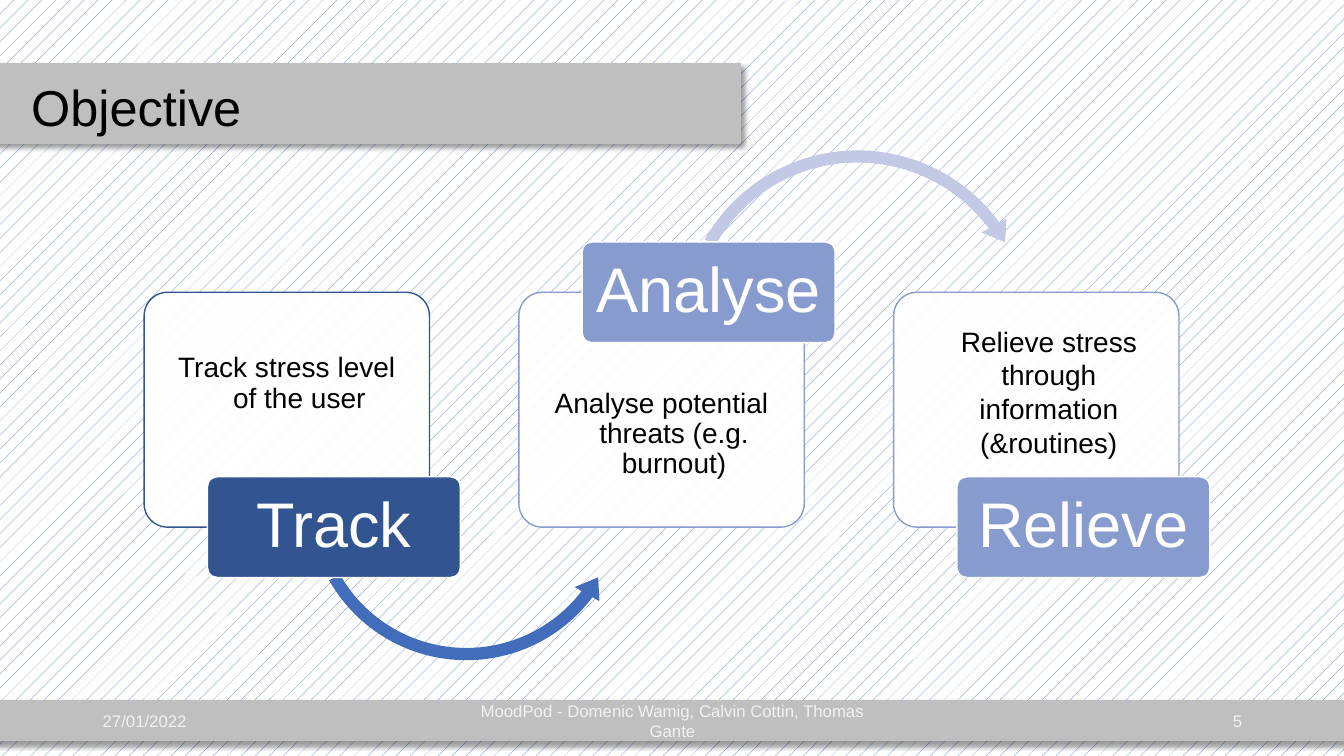
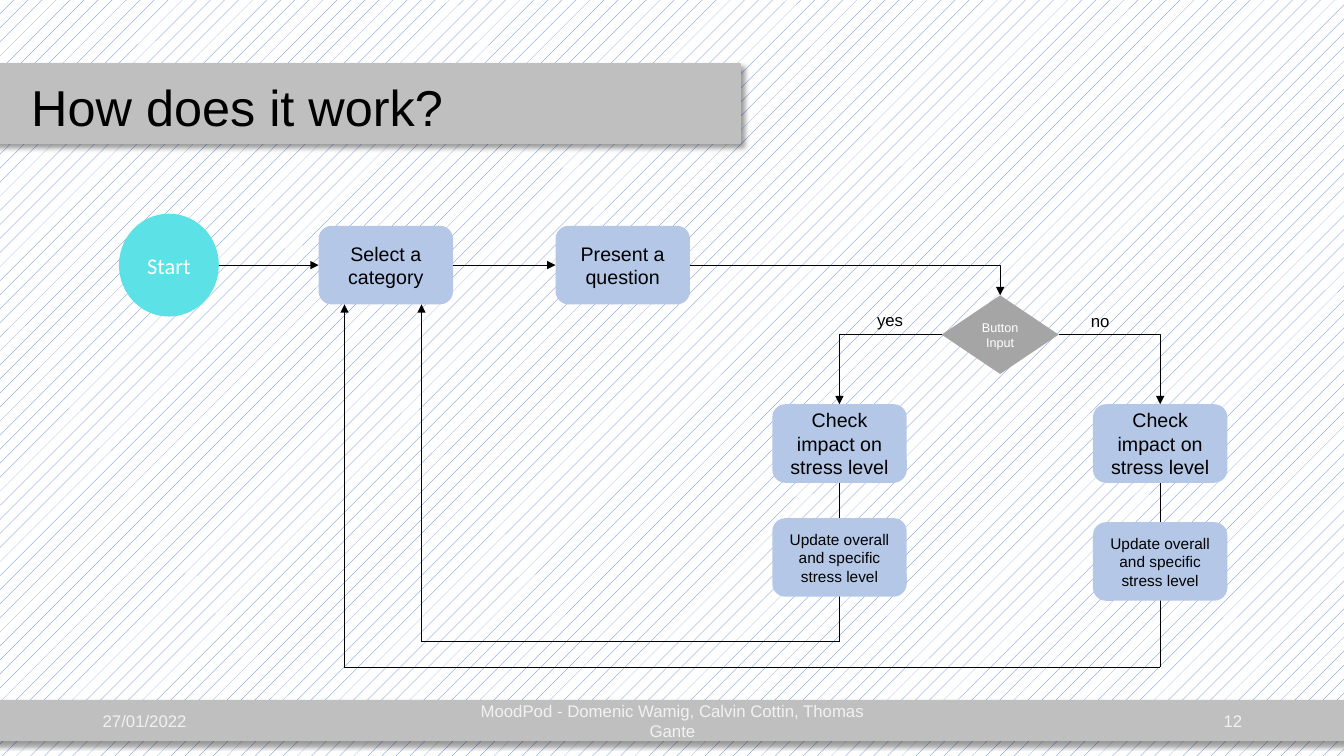
from dataclasses import dataclass

from lxml.etree import SubElement as Sub
from pptx import Presentation
from pptx.dml.color import RGBColor as RGB
from pptx.enum.dml import MSO_PATTERN_TYPE as Pat
from pptx.enum.shapes import MSO_CONNECTOR as Con, MSO_SHAPE as Geo
from pptx.enum.text import MSO_ANCHOR as Mid, MSO_AUTO_SIZE as Fit, PP_ALIGN as Al
from pptx.oxml.ns import qn
from pptx.util import Inches, Pt

TOP, LEFT, BASE, RIGHT = range(4)


@dataclass(frozen=True)
class Theme:
    """Colours, fonts and type sizes of the deck."""
    face: str = "Arial"
    alt: str = "Calibri"
    ink: str = "000000"
    white: str = "FFFFFF"
    hatch: str = "4472C4"
    band: str = "BFBFBF"
    pale: str = "F2F2F2"
    navy: str = "325491"
    lilac: str = "879BCE"
    blue: str = "416DBB"
    mist: str = "C1C9E4"
    sky: str = "B4C7E7"
    cyan: str = "5CE1E6"
    gray: str = "A5A5A5"
    title: int = 36
    label: int = 45
    card: int = 20
    start: int = 16
    node: int = 14
    foot: int = 12
    small: int = 11
    tiny: int = 9


class Deck:
    """Style and current slide, measured on a grid of 40 columns by 22.5 rows."""

    def __init__(self, theme):
        """Set the slide size and the hatched ground."""
        self.th = theme
        self.prs = Presentation()
        self.prs.slide_width, self.prs.slide_height = Inches(13.33), Inches(7.5)
        self.unit = self.prs.slide_height / 22.5
        fill = self.prs.slide_master.background.fill
        fill.patterned()
        fill.pattern = Pat.PERCENT_5
        fill.fore_color.rgb = RGB.from_string(theme.hatch)
        fill.back_color.rgb = RGB.from_string(theme.white)

    def grid(self, *vals):
        """Turn grid steps into lengths."""
        return [round(v * self.unit) for v in vals]

    def page(self, title, num):
        """Start a slide with its title, bands and footer."""
        th = self.th
        self.slide = self.prs.slides.add_slide(self.prs.slide_layouts[5])
        self.band(-0.3, 20.85, 40.68, 1.2)
        self.band(-0.42, 1.89, 22.44, 2.37)
        head = self.slide.shapes.title
        self.slide.shapes.element.append(head.element)
        head.left, head.top, head.width, head.height = self.grid(0.63, 1.11, 34.5, 4.35)
        self.fill(head, title, th.title, th.ink, Al.LEFT, gap=0.9)
        for x, w, text, al in (
            (2.76, 9, "27/01/2022", Al.LEFT),
            (13.26, 13.5, "MoodPod - Domenic Wamig, Calvin Cottin, Thomas Gante", Al.CENTER),
            (28.26, 9, str(num), Al.RIGHT),
        ):
            self.text((x, 20.85, w, 1.2), text, th.foot, th.pale, al)

    def fill(self, shape, text, size, tint, al=Al.CENTER, face=None,
             gap=None, pad=(0.1, 0.05, 0.1, 0.05)):
        """Fill a shape with one styled paragraph."""
        tf = shape.text_frame
        tf.text = text
        tf.word_wrap, tf.auto_size = True, Fit.NONE
        tf.vertical_anchor = Mid.MIDDLE
        tf.margin_left, tf.margin_top, tf.margin_right, tf.margin_bottom = map(Inches, pad)
        par = tf.paragraphs[0]
        par.alignment, par.line_spacing = al, gap
        par.font.size, par.font.name = Pt(size), face or self.th.face
        par.font.color.rgb = RGB.from_string(tint)
        return par

    def text(self, box, text, size, tint, al=Al.LEFT):
        """Add a text box."""
        self.fill(self.slide.shapes.add_textbox(*self.grid(*box)), text, size, tint, al)

    def shape(self, geo, box, fill, line=None, adj=()):
        """Add a flat preset shape."""
        shp = self.slide.shapes.add_shape(geo, *self.grid(*box))
        shp.fill.solid()
        shp.fill.fore_color.rgb = RGB.from_string(fill)
        if line:
            shp.line.color.rgb = RGB.from_string(line)
            shp.line.width = Pt(1)
        else:
            shp.line.fill.background()
        shp.shadow.inherit = False
        for i, val in enumerate(adj):
            shp.adjustments[i] = val
        return shp

    def band(self, *box):
        """Add a grey band with a soft shadow."""
        shp = self.shape(Geo.RECTANGLE, box, self.th.band, self.th.band)
        fx = shp.element.spPr.find(qn("a:effectLst"))
        cast = Sub(fx, qn("a:outerShdw"), blurRad=str(Pt(4)), dist=str(Pt(3)),
                   dir="2700000", algn="tl", rotWithShape="0")
        tint = Sub(cast, qn("a:srgbClr"), val=self.th.ink)
        Sub(tint, qn("a:alpha"), val="40000")

    def card(self, x, text, line, pad, hang=-0.25, gap=0.9):
        """Add a translucent card with indented text."""
        shp = self.shape(Geo.ROUNDED_RECTANGLE, (x, 8.7, 8.49, 6.99),
                         self.th.white, line, [0.1])
        tint = shp.element.spPr.find(qn("a:solidFill"))[0]
        Sub(tint, qn("a:alpha"), val="90000")
        par = self.fill(shp, text, self.th.card, self.th.ink, gap=gap, pad=pad)
        prop = par._p.get_or_add_pPr()
        prop.set("marL", str(Inches(0.25)))
        prop.set("indent", str(Inches(hang)))

    def label(self, x, y, text, fill):
        """Add the large label of a card."""
        shp = self.shape(Geo.ROUNDED_RECTANGLE, (x, y, 7.53, 3), fill, self.th.white, [0.1])
        self.fill(shp, text, self.th.label, self.th.white, gap=0.9,
                  pad=(0.09, 0.06, 0.09, 0.06))

    def node(self, x, y, text, size):
        """Add a step of the flow chart."""
        shp = self.shape(Geo.ROUNDED_RECTANGLE, (x, y, 4, 2.34), self.th.sky)
        self.fill(shp, text, size, self.th.ink, pad=[0.1] * 4)
        return shp

    def line(self, kind, ends, tip=True):
        """Add a thin connector, with an arrowhead if asked."""
        con = self.slide.shapes.add_connector(kind, *self.grid(*ends))
        con.line.color.rgb = RGB.from_string(self.th.ink)
        con.line.width = Pt(0.5)
        prop = con._element.spPr
        if tip:
            Sub(prop.find(qn("a:ln")), qn("a:tailEnd"), type="triangle")
        Sub(prop, qn("a:effectLst"))
        return con

    def link(self, src, out, dst, into, bent=False):
        """Join two shapes with a straight or bent arrow."""
        con = self.line(Con.ELBOW if bent else Con.STRAIGHT, (0, 0, 1, 1))
        con.begin_connect(src, out)
        con.end_connect(dst, into)
        if bent:
            con._element.spPr.find(qn("a:prstGeom")).set("prst", "bentConnector2")

    def route(self, *pts):
        """Draw an arrow along straight legs."""
        for a, b in zip(pts, pts[1:]):
            self.line(Con.STRAIGHT, a + b, b == pts[-1])


def goals(deck):
    """Build the slide of the three goals."""
    th = deck.th
    deck.page("Objective", 5)
    high, low = (0.12, 0.12, 0.12, 0.63), (0.12, 0.62, 0.12, 0.13)
    steps = (
        ("Track", "Track stress level of the user", th.navy, 14.19, high, {},
         (Geo.LEFT_CIRCULAR_ARROW, (8.94, 10.02, 9.87, 9.87), th.blue, None,
          (0.037, 4.574, 22.329, 90.245, 0.043))),
        ("Analyse", "Analyse potential threats (e.g. burnout)", th.lilac, 7.2, low, {},
         (Geo.CIRCULAR_ARROW, (20.04, 4.23, 10.95, 10.95), th.mist, None,
          (0.033, 4.086, 194.159, 125.755, 0.039))),
        ("Relieve", "Relieve stress through information (&routines)", th.lilac, 14.19,
         (0.12, 0.27, 0.12, 0.63), {"hang": 0, "gap": 1.0}, None),
    )
    for i, (name, text, tint, y, pad, more, arc) in enumerate(steps):
        x = 4.29 + i * 11.15
        deck.card(x, text, tint, pad, **more)
        if arc:
            deck.shape(*arc)
        deck.label(x + 1.88, y, name, tint)


def flow(deck):
    """Build the flow chart slide."""
    th = deck.th
    deck.page("How does it work?", 12)
    start = deck.shape(Geo.OVAL, (3.54, 6.36, 2.97, 3.06), th.cyan)
    deck.fill(start, "Start", th.start, th.white, face=th.alt)
    pick = deck.node(9.48, 6.72, "Select a category", th.node)
    ask = deck.node(16.53, 6.72, "Present a question", th.node)
    test = deck.shape(Geo.FLOWCHART_DECISION, (28.02, 8.79, 3.48, 2.34), th.gray)
    deck.fill(test, "Button Input", th.tiny, th.white)
    deck.route((6.51, 7.89), (9.48, 7.89))
    deck.link(pick, RIGHT, ask, LEFT)
    deck.link(ask, RIGHT, test, TOP, True)
    for x, y, side, turn, back, word, spot in (
        (22.98, 15.42, LEFT, 19.08, 12.54, "yes", (25.8, 9.06, 2, 0.9)),
        (32.52, 15.54, RIGHT, 19.86, 10.25, "no", (32.16, 9.09, 2, 0.9)),
    ):
        check = deck.node(x, 12.03, "Check impact on stress level", th.node)
        deck.link(test, side, check, TOP, True)
        deck.route((x + 2, 14.37), (x + 2, turn), (back, turn), (back, 9.06))
        deck.node(x, y, "Update overall and specific stress level", th.small)
        deck.text(spot, word, th.foot, th.ink)


def main():
    """Build and save the deck."""
    deck = Deck(Theme())
    goals(deck)
    flow(deck)
    deck.prs.save("out.pptx")


if __name__ == "__main__":
    main()
